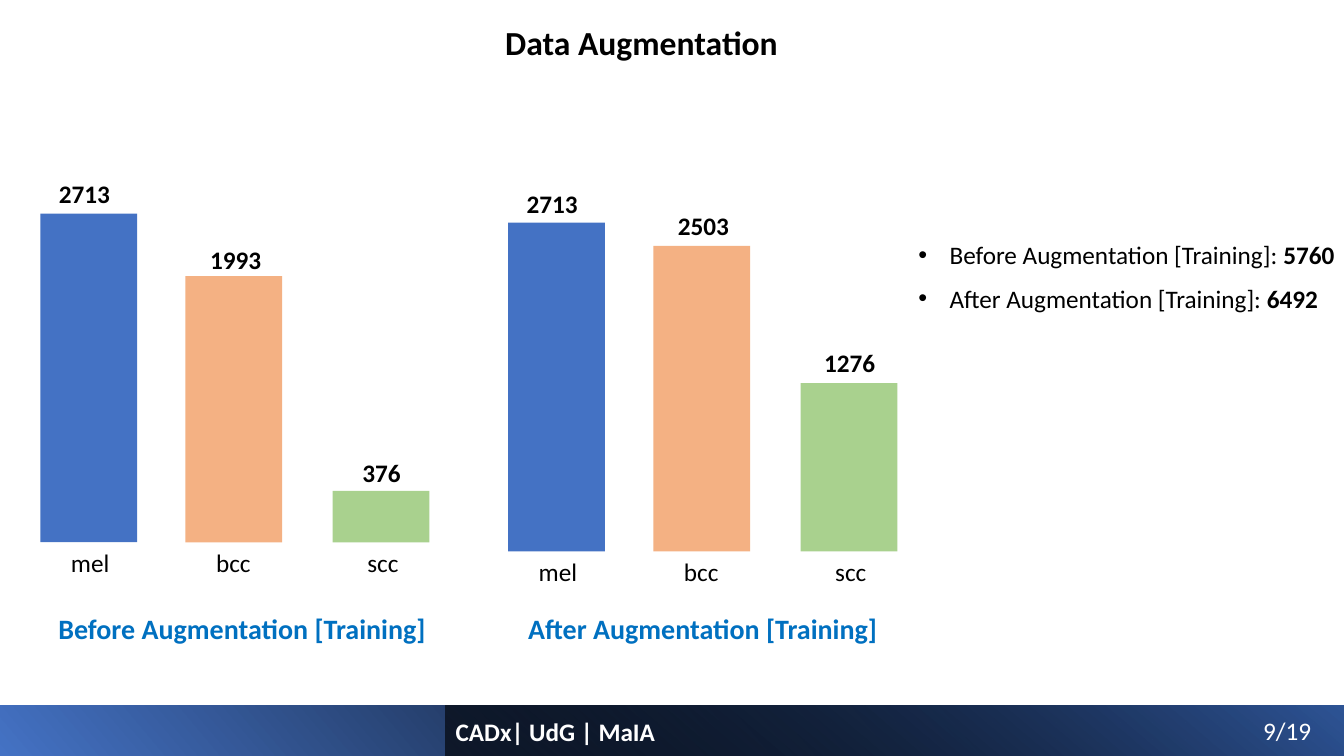
from dataclasses import dataclass

from lxml import etree
from pptx import Presentation
from pptx.dml.color import RGBColor
from pptx.enum.shapes import MSO_SHAPE
from pptx.enum.text import MSO_ANCHOR, MSO_AUTO_SIZE, PP_ALIGN
from pptx.oxml.ns import qn
from pptx.util import Inches, Pt

RECTANGLE = MSO_SHAPE.RECTANGLE
TOP = MSO_ANCHOR.TOP
GROW = MSO_AUTO_SIZE.SHAPE_TO_FIT_TEXT
LEFT = PP_ALIGN.LEFT


@dataclass(frozen=True)
class Theme:
    font: str = "Calibri"
    black: str = "000000"
    white: str = "FFFFFF"
    caption: str = "0070C0"
    blue: str = "4472C4"
    navy: str = "2F5597"
    orange: str = "F4B183"
    green: str = "A9D18E"
    title_size: int = 24
    caption_size: int = 20
    body_size: int = 18


@dataclass(frozen=True)
class Column:
    name: str
    left: float
    label_center: float
    label_width: float
    value_center: float
    color: str


class SlideBuilder:
    def __init__(self, page, theme):
        self.page = page
        self.theme = theme

    def fill_text(self, box, text, size, color, bold=False):
        frame = box.text_frame
        frame.word_wrap = False
        frame.auto_size = GROW
        frame.vertical_anchor = TOP
        frame.text = text
        para = frame.paragraphs[0]
        para.alignment = LEFT
        for span in para.runs:
            self.style(span, size, color, bold)
        return para

    def style(self, span, size, color, bold):
        span.font.name = self.theme.font
        span.font.size = Pt(size)
        span.font.bold = bold
        span.font.color.rgb = RGBColor.from_string(color)

    def title(self, text, left, top, width, height):
        box = self.page.shapes.title
        box.left, box.top = Inches(left), Inches(top)
        box.width, box.height = Inches(width), Inches(height)
        self.fill_text(box, text, self.theme.title_size, self.theme.black, True)

    def text(self, text, left, top, width, height=0.4, size=None, color=None,
             bold=False, parent=None):
        shapes = (parent or self.page).shapes
        box = shapes.add_textbox(Inches(left), Inches(top), Inches(width), Inches(height))
        return self.fill_text(box, text, size or self.theme.body_size,
                              color or self.theme.black, bold)

    def bullet(self, text, total, left, top, width):
        para = self.text(text, left, top, width)
        span = para.add_run()
        span.text = total
        self.style(span, self.theme.body_size, self.theme.black, True)
        properties = para._p.get_or_add_pPr()
        properties.set("marL", str(Inches(0.31)))
        properties.set("indent", str(-Inches(0.31)))
        etree.SubElement(properties, qn("a:buFont"), typeface="Arial")
        etree.SubElement(properties, qn("a:buChar"), char="•")

    def rectangle(self, left, top, width, height, color=None, parent=None):
        shapes = (parent or self.page).shapes
        box = shapes.add_shape(RECTANGLE, Inches(left), Inches(top),
                               Inches(width), Inches(height))
        box.shadow.inherit = False
        box.line.fill.background()
        if color:
            box.fill.solid()
            box.fill.fore_color.rgb = RGBColor.from_string(color)
        return box

    def gradient_band(self, left, top, width, height, stops, angle, rotation=0):
        box = self.rectangle(left, top, width, height)
        box.rotation = rotation
        properties = box._element.spPr
        properties.find(qn("a:xfrm")).set("flipH", "1")
        gradient = etree.Element(qn("a:gradFill"), rotWithShape="1")
        stop_list = etree.SubElement(gradient, qn("a:gsLst"))
        for position, color, opacity in stops:
            stop = etree.SubElement(stop_list, qn("a:gs"), pos=str(position * 1000))
            tint = etree.SubElement(stop, qn("a:srgbClr"), val=color)
            if opacity < 100:
                etree.SubElement(tint, qn("a:alpha"), val=str(opacity * 1000))
        etree.SubElement(gradient, qn("a:lin"), ang=str(angle * 60000), scaled="0")
        properties.find(qn("a:prstGeom")).addnext(gradient)

    def bar_group(self, columns, bars, offset, base):
        group = self.page.shapes.add_group_shape()
        for column, (value, bar_top, value_top) in zip(columns, bars):
            self.rectangle(offset + column.left, bar_top, 0.96, base - bar_top,
                           column.color, group)
            self.text(column.name, offset + column.label_center - column.label_width / 2,
                      base, column.label_width, parent=group)
            value_width = 0.23 + 0.12 * len(value)
            self.text(value, offset + column.value_center - value_width / 2,
                      value_top, value_width, bold=True, parent=group)


def main():
    theme = Theme()
    deck = Presentation()
    deck.slide_width, deck.slide_height = Inches(13.33), Inches(7.5)
    page = deck.slides.add_slide(deck.slide_layouts.get_by_name("Title Only"))
    builder = SlideBuilder(page, theme)

    builder.gradient_band(0, 7, 13.33, 0.5,
                          [(0, theme.blue, 100), (78, theme.black, 100)], 40, 180)
    builder.gradient_band(4.42, 7, 8.92, 0.5,
                          [(0, theme.black, 63), (100, theme.navy, 100)], 230)
    builder.title("Data Augmentation", 4.91, 0.17, 2.94, 0.5)

    columns = [
        Column("mel", 0.4, 0.9, 0.59, 0.84, theme.blue),
        Column("bcc", 1.84, 2.32, 0.55, 2.34, theme.orange),
        Column("scc", 3.3, 3.8, 0.51, 3.79, theme.green),
    ]
    before = [("2713", 2.12, 1.72), ("1993", 2.74, 2.37), ("376", 4.87, 4.49)]
    after = [("2713", 2.21, 1.82), ("2503", 2.44, 2.04), ("1276", 3.8, 3.4)]
    builder.bar_group(columns, before, 0, 5.38)
    builder.bar_group(columns, after, 4.64, 5.47)

    stages = [
        ("Before Augmentation [Training]", "5760", 0.48, 3.88, 4.38),
        ("After Augmentation [Training]", "6492", 5.14, 3.7, 4.22),
    ]
    for index, (stage, total, left, width, bullet_width) in enumerate(stages):
        builder.text(stage, left, 6.02, width, 0.44, theme.caption_size,
                     theme.caption, True)
        builder.bullet(f"{stage}: ", total, 9.01, 2.33 + 0.43 * index, bullet_width)

    builder.text("9/19", 12.43, 7.05, 0.68, color=theme.white)
    builder.text("CADx| UdG | MaIA", 4.42, 7.06, 2.2, color=theme.white, bold=True)
    deck.save("out.pptx")


if __name__ == "__main__":
    main()
